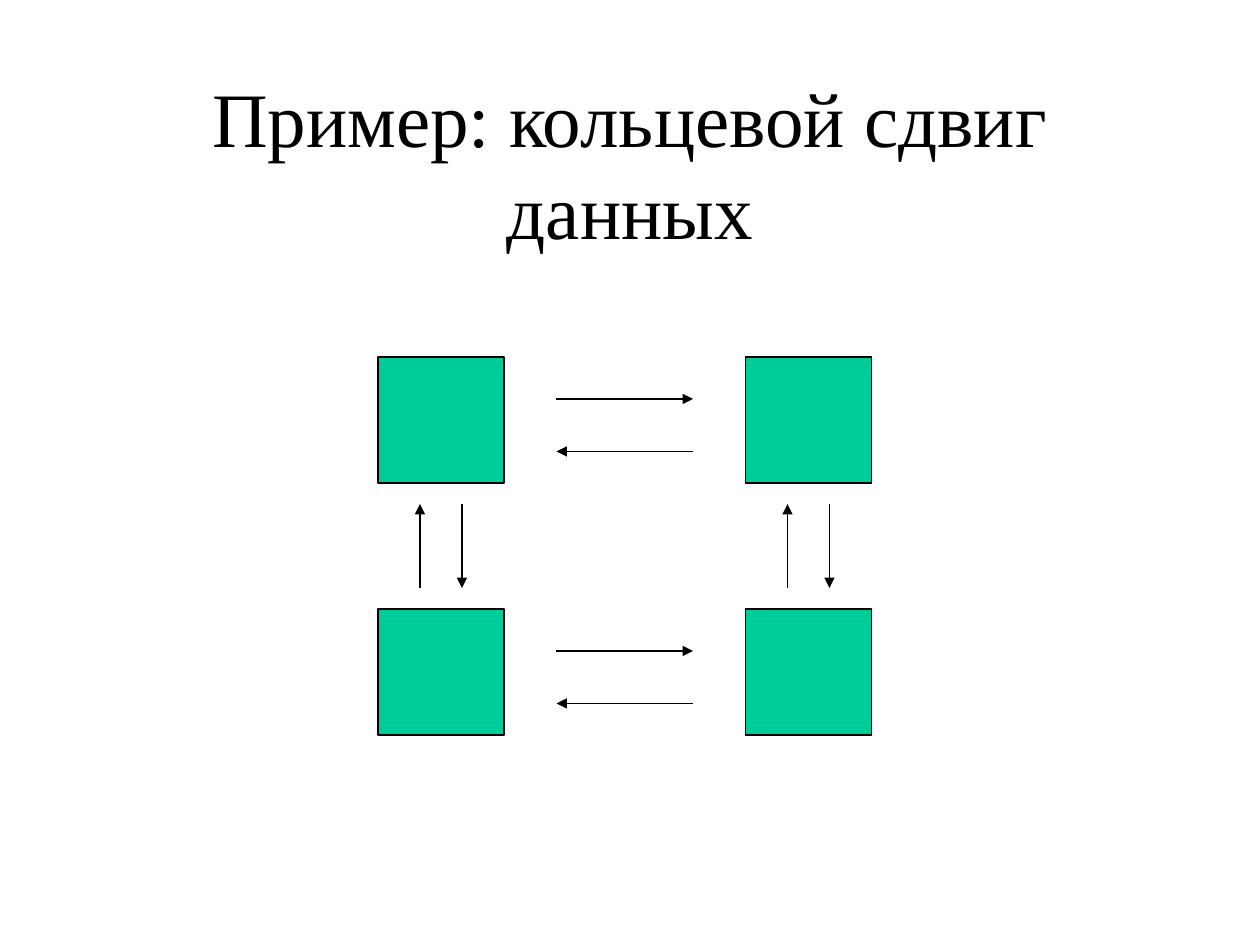
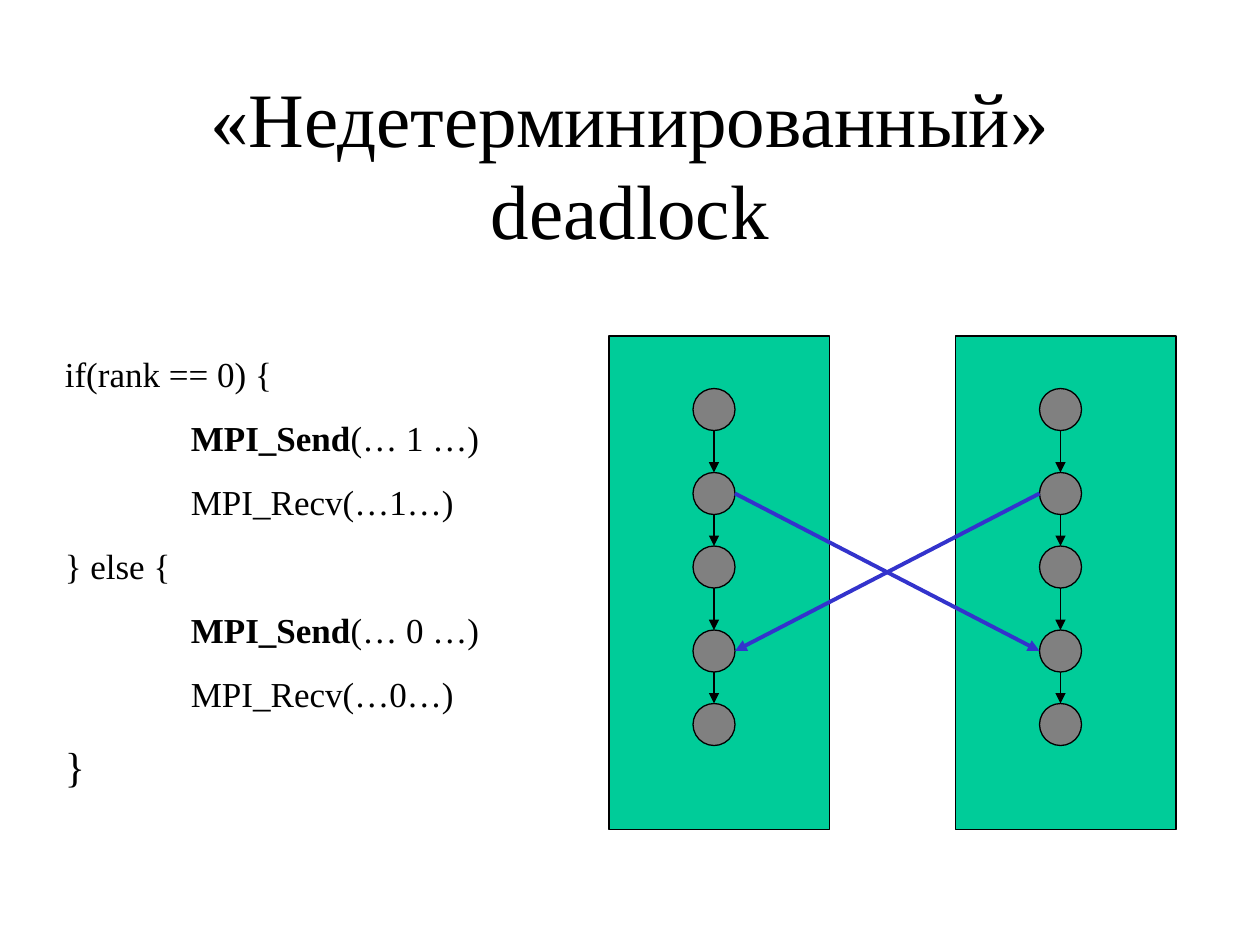
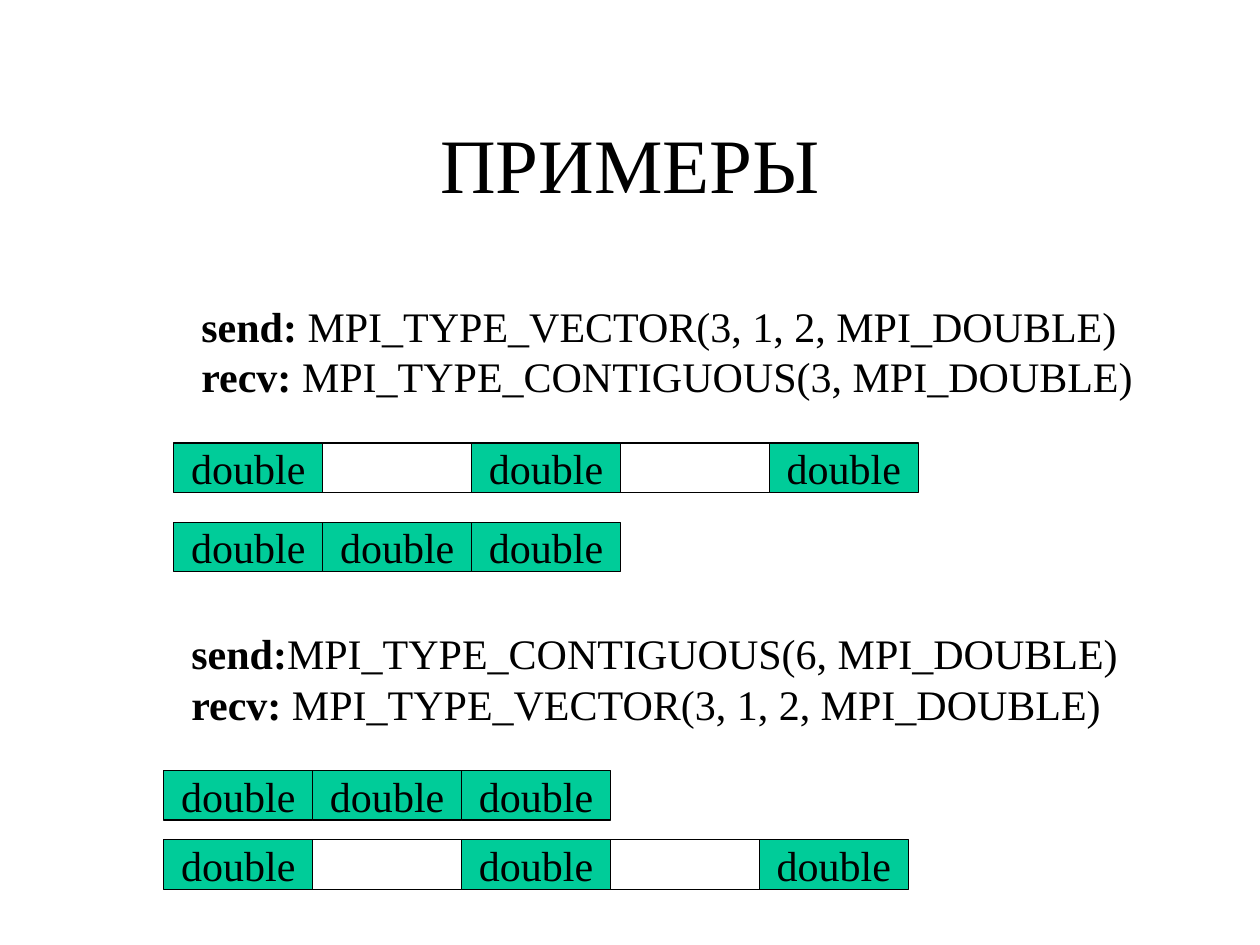
from itertools import pairwise

from lxml import etree
from pptx import Presentation
from pptx import util as u
from pptx.dml.color import RGBColor
from pptx.enum import shapes, text
from pptx.oxml.ns import qn

COLORS = {"ink": "000000", "process": "00CC99", "step": "808080", "message": "3333CC"}
COLUMNS, ROWS = 120, 90
WIDTH, HEIGHT = u.Inches(10), u.Inches(7.5)
MARGINS = {
    "margin_left": u.Inches(0.1), "margin_right": u.Inches(0.1),
    "margin_top": u.Inches(0.05), "margin_bottom": u.Inches(0.05),
}
TITLE_FRAME = {**MARGINS, "word_wrap": True, "vertical_anchor": text.MSO_ANCHOR.MIDDLE}
NOTE_FRAME = {**MARGINS, "word_wrap": True, "auto_size": text.MSO_AUTO_SIZE.SHAPE_TO_FIT_TEXT}
CELL_FRAME = {**TITLE_FRAME, "word_wrap": False}
CELL_WIDTH, CELL_HEIGHT = 14.18, 4.72
SPACED = ["double", "", "double", "", "double"]
PACKED = ["double"] * 3


def apply(target, values):
    for name, value in values.items():
        setattr(target, name, value)


def color(name):
    return RGBColor.from_string(COLORS[name])


def across(columns):
    return round(WIDTH * columns / COLUMNS)


def down(rows):
    return round(HEIGHT * rows / ROWS)


def place(left, top, width, height):
    return across(left), down(top), across(width), down(height)


def write(paragraph, words, size, bold=False):
    run = paragraph.add_run()
    run.text = words
    apply(run.font, {"name": "Times New Roman", "size": u.Pt(size), "bold": bold})
    run.font.color.rgb = color("ink")


def add_frame(slide, area, values):
    frame = slide.shapes.add_textbox(*place(*area)).text_frame
    apply(frame, values)
    return frame


def add_titled_slide(deck, title):
    slide = deck.slides.add_slide(deck.slide_layouts[6])
    heading = add_frame(slide, (9, 8, 102, 15), TITLE_FRAME).paragraphs[0]
    heading.alignment = text.PP_ALIGN.CENTER
    write(heading, title, 44)
    return slide


def add_block(slide, kind, area, fill):
    block = slide.shapes.add_shape(kind, *place(*area))
    block.shadow.inherit = False
    if fill:
        block.fill.solid()
        block.fill.fore_color.rgb = color(fill)
    else:
        block.fill.background()
    block.line.color.rgb = color("ink")
    block.line.width = u.Pt(0.75)
    return block


def add_arrow(slide, start, end, ink="ink", weight=0.75):
    arrow = slide.shapes.add_connector(
        shapes.MSO_CONNECTOR.STRAIGHT,
        across(start[0]), down(start[1]), across(end[0]), down(end[1]))
    arrow.line.color.rgb = color(ink)
    arrow.line.width = u.Pt(weight)
    etree.SubElement(arrow.line._get_or_add_ln(), qn("a:tailEnd"), type="triangle")
    etree.SubElement(arrow._element.spPr, qn("a:effectLst"))


def add_tab_stop(paragraph, columns):
    stops = etree.SubElement(paragraph._p.get_or_add_pPr(), qn("a:tabLst"))
    etree.SubElement(stops, qn("a:tab"), pos=str(across(columns)), algn="l")


def add_code(slide, area, lines):
    frame = add_frame(slide, area, NOTE_FRAME)
    for index, (indent, call, rest, size) in enumerate(lines):
        paragraph = frame.add_paragraph() if index else frame.paragraphs[0]
        add_tab_stop(paragraph, 12)
        if index:
            paragraph.space_before = u.Pt(size * 0.625)
        if call:
            write(paragraph, indent, size)
            write(paragraph, call, size, bold=True)
            write(paragraph, rest, size)
        else:
            write(paragraph, indent + rest, size)


def add_calls(slide, left, top, calls):
    paragraph = add_frame(slide, (left, top, 96, 10.8), NOTE_FRAME).paragraphs[0]
    for index, (label, call) in enumerate(calls):
        if index:
            paragraph.add_line_break()
        write(paragraph, label, 24, bold=True)
        write(paragraph, call, 24)


def add_memory(slide, left, top, cells):
    for index, label in enumerate(cells):
        area = (left + index * CELL_WIDTH, top, CELL_WIDTH, CELL_HEIGHT)
        cell = add_block(slide, shapes.MSO_SHAPE.RECTANGLE, area, "process" if label else None)
        if label:
            apply(cell.text_frame, CELL_FRAME)
            paragraph = cell.text_frame.paragraphs[0]
            paragraph.alignment = text.PP_ALIGN.CENTER
            write(paragraph, label, 24)


def add_process(slide, left, step_tops):
    add_block(slide, shapes.MSO_SHAPE.RECTANGLE, (left, 32, 21, 47), "process")
    for top in step_tops:
        add_block(slide, shapes.MSO_SHAPE.OVAL, (left + 8, top, 4, 4), "step")
    for upper, lower in pairwise(step_tops):
        add_arrow(slide, (left + 10, upper + 4), (left + 10, lower))


def build_ring(deck):
    slide = add_titled_slide(deck, "Пример: кольцевой сдвиг данных")
    node_lefts, node_tops = (36, 71), (34, 58)
    for top in node_tops:
        for left in node_lefts:
            add_block(slide, shapes.MSO_SHAPE.RECTANGLE, (left, top, 12, 12), "process")
        add_arrow(slide, (53, top + 4), (66, top + 4))
        add_arrow(slide, (66, top + 9), (53, top + 9))
    for left in node_lefts:
        add_arrow(slide, (left + 4, 56), (left + 4, 48))
        add_arrow(slide, (left + 8, 48), (left + 8, 56))


def build_deadlock(deck):
    slide = add_titled_slide(deck, "«Недетерминированный» deadlock")
    step_tops = (37, 45, 52, 60, 67)
    for left in (58, 91):
        add_process(slide, left, step_tops)
    send, receive = step_tops[1] + 2, step_tops[3] + 2
    for sender, receiver in ((70, 99), (99, 70)):
        add_arrow(slide, (sender, send), (receiver, receive), "message", 2.25)
    add_code(slide, (5, 33, 48, 43), [
        ("", "", "if(rank == 0) {", 20),
        ("\t", "MPI_Send", "(… 1 …)", 20),
        ("\t", "", "MPI_Recv(…1…)", 20),
        ("", "", "} else {", 20),
        ("\t", "MPI_Send", "(… 0 …)", 20),
        ("\t", "", "MPI_Recv(…0…)", 20),
        ("", "", "}", 24),
    ])


def build_types(deck):
    slide = add_titled_slide(deck, "ПРИМЕРЫ")
    add_calls(slide, 18, 28, [
        ("send: ", "MPI_TYPE_VECTOR(3, 1, 2, MPI_DOUBLE)"),
        ("recv: ", "MPI_TYPE_CONTIGUOUS(3, MPI_DOUBLE)"),
    ])
    add_memory(slide, 16.55, 42.18, SPACED)
    add_memory(slide, 16.55, 49.74, PACKED)
    add_calls(slide, 17.05, 59.2, [
        ("send:", "MPI_TYPE_CONTIGUOUS(6, MPI_DOUBLE)"),
        ("recv:", " MPI_TYPE_VECTOR(3, 1, 2, MPI_DOUBLE)"),
    ])
    add_memory(slide, 15.6, 73.37, PACKED)
    add_memory(slide, 15.6, 79.98, SPACED)


def main():
    deck = Presentation()
    apply(deck, {"slide_width": WIDTH, "slide_height": HEIGHT})
    for build in (build_ring, build_deadlock, build_types):
        build(deck)
    deck.save("out.pptx")


if __name__ == "__main__":
    main()
